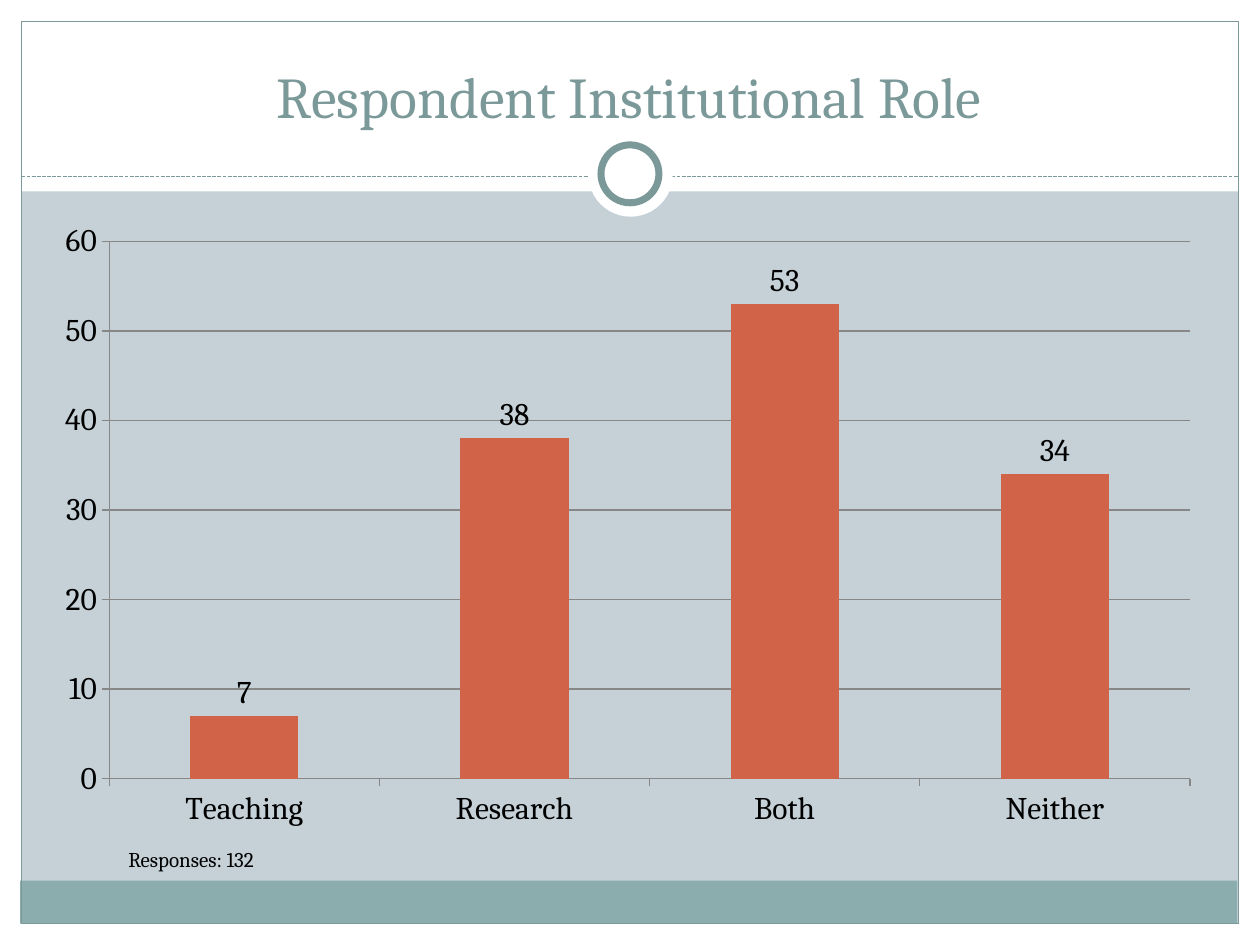
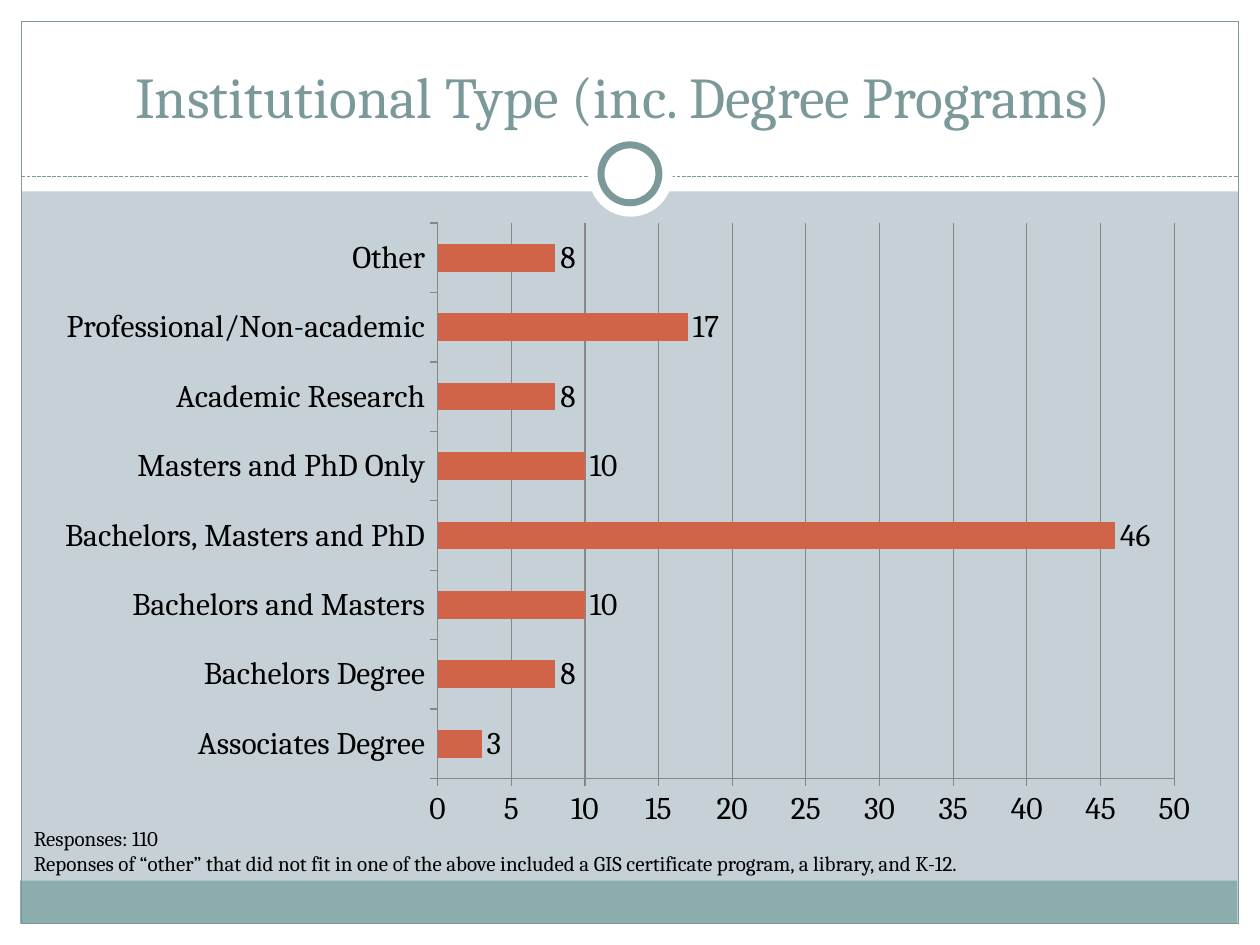
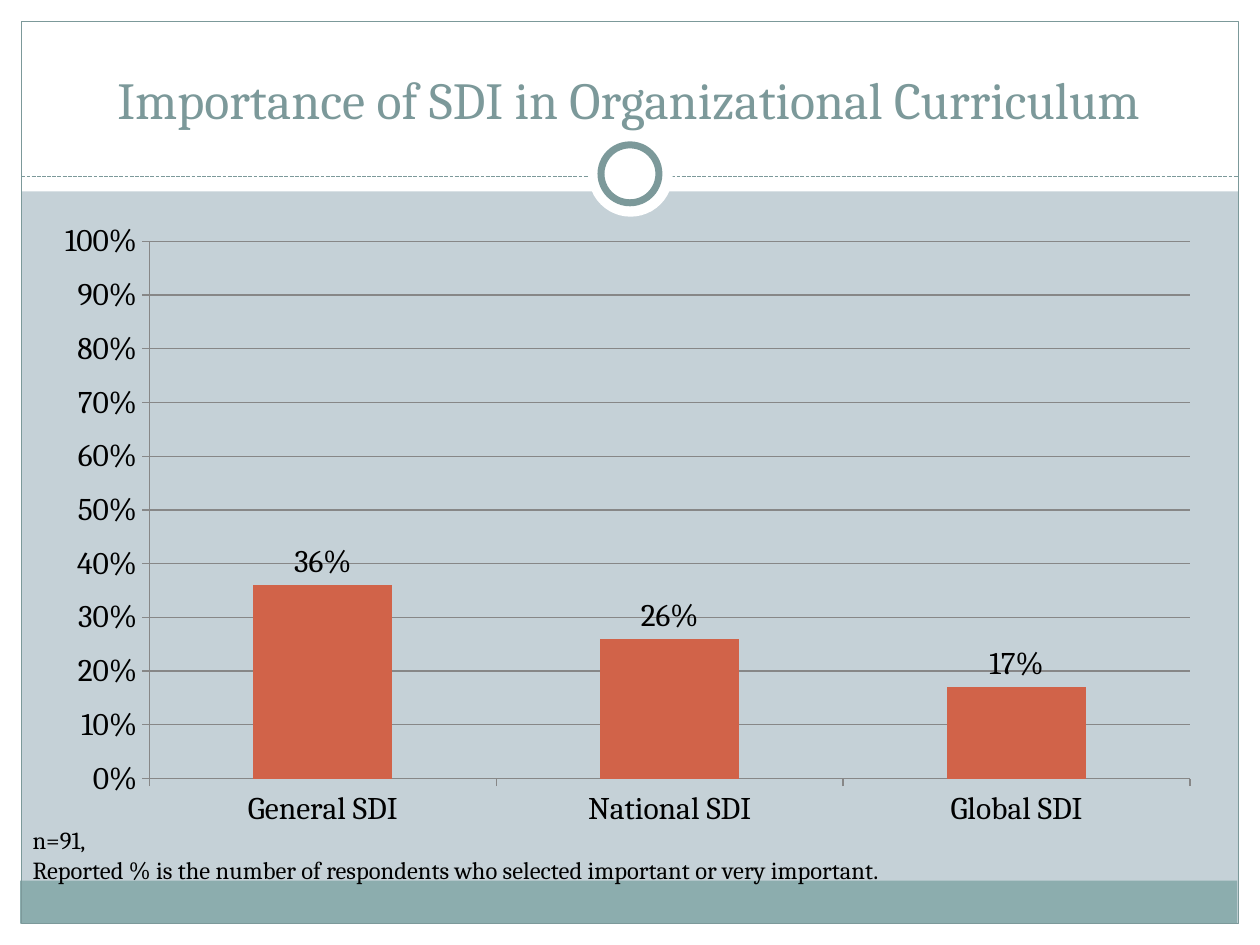
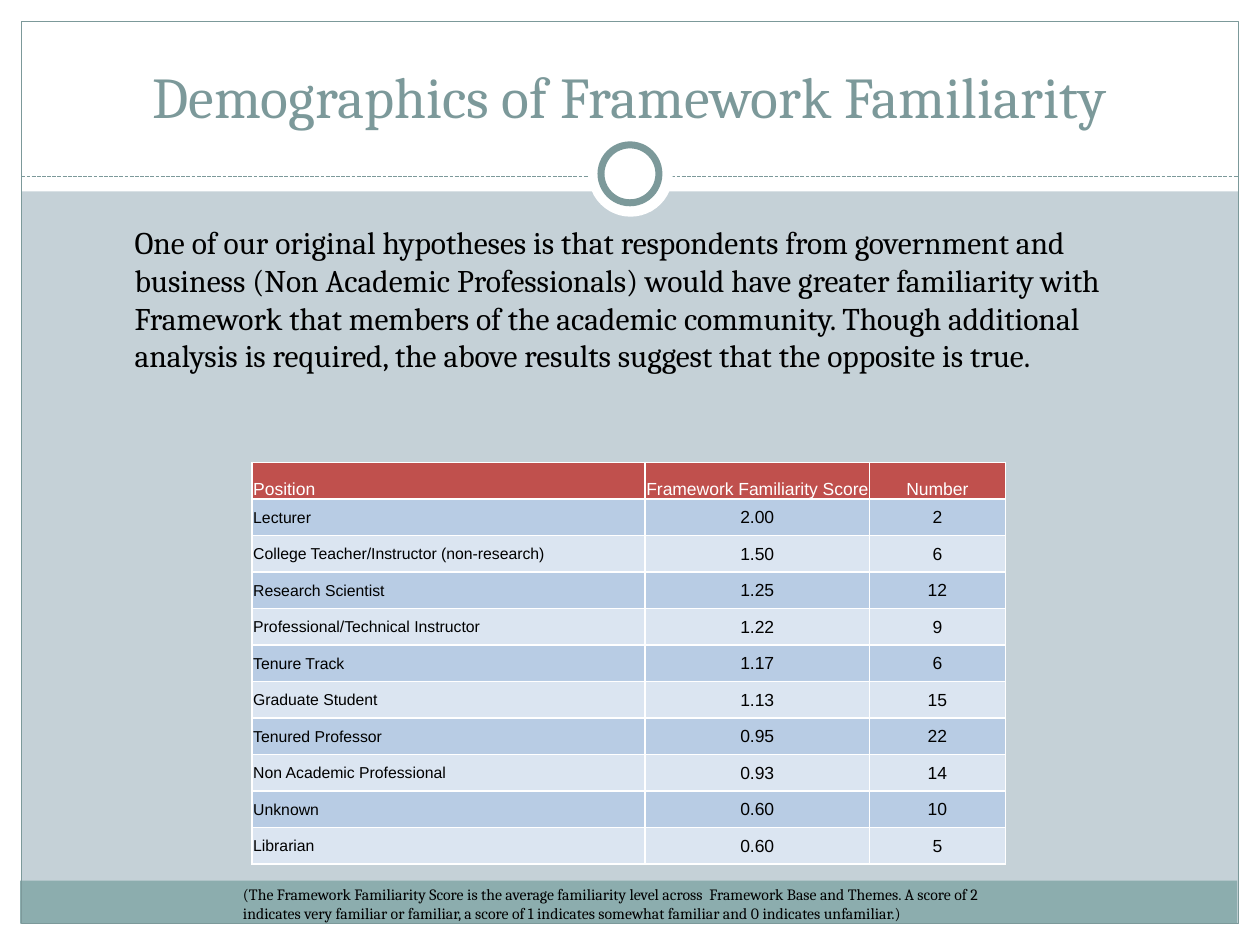
from pptx import Presentation
from pptx.chart.data import CategoryChartData
from pptx.dml.color import RGBColor
from pptx.enum.chart import XL_CHART_TYPE, XL_LABEL_POSITION, XL_TICK_MARK
from pptx.enum.dml import MSO_LINE
from pptx.enum.shapes import MSO_CONNECTOR, MSO_SHAPE
from pptx.enum.text import MSO_ANCHOR, MSO_AUTO_SIZE, PP_ALIGN
from pptx.oxml.ns import qn
from pptx.util import Inches, Pt
from lxml import etree

WHITE = RGBColor(0xFF, 0xFF, 0xFF)
BLACK = RGBColor(0x00, 0x00, 0x00)
BACKGROUND = RGBColor(0xC5, 0xD1, 0xD7)
BAND = RGBColor(0x8C, 0xAD, 0xAE)
ACCENT = RGBColor(0x7C, 0x99, 0x9A)
BAR = RGBColor(0xD1, 0x63, 0x49)
GRID = RGBColor(0x87, 0x87, 0x87)
TABLE_HEADER = RGBColor(0xC0, 0x50, 0x4D)
TABLE_DARK = RGBColor(0xB8, 0xCC, 0xE4)
TABLE_LIGHT = RGBColor(0xDB, 0xE5, 0xF1)
SERIF = "Cambria"
SANS = "Arial"

FAMILIARITY = [
    ("Position", "Framework Familiarity Score", "Number"),
    ("Lecturer", "2.00", "2"),
    ("College Teacher/Instructor (non-research)", "1.50", "6"),
    ("Research Scientist", "1.25", "12"),
    ("Professional/Technical Instructor", "1.22", "9"),
    ("Tenure Track", "1.17", "6"),
    ("Graduate Student", "1.13", "15"),
    ("Tenured Professor", "0.95", "22"),
    ("Non Academic Professional", "0.93", "14"),
    ("Unknown", "0.60", "10"),
    ("Librarian", "0.60", "5"),
]


def write_text(frame, text, size=12, font=SERIF, color=BLACK, align=PP_ALIGN.LEFT):
    for index, line in enumerate(text.split("\n")):
        paragraph = frame.add_paragraph() if index else frame.paragraphs[0]
        paragraph.alignment = align
        run = paragraph.add_run()
        run.text = line
        run.font.size = Pt(size)
        run.font.name = font
        run.font.color.rgb = color


def box(left, top, width, height):
    return Inches(left), Inches(top), Inches(width), Inches(height)


class Deck:
    def __init__(self):
        self.presentation = Presentation()
        self.presentation.slide_width = Inches(10)
        self.presentation.slide_height = Inches(7.5)
        self.layout = self.presentation.slide_layouts[5]
        self.layout.background.fill.solid()
        self.layout.background.fill.fore_color.rgb = BACKGROUND
        self.slide = None

    def start_slide(self, title, size=33):
        first = self.slide is None
        self.slide = self.presentation.slides.add_slide(self.layout)
        if first:
            self.share_frame()
        shape = self.slide.shapes.title
        shape.left, shape.top, shape.width, shape.height = box(0.33, 0.25, 9.33, 0.83)
        frame = shape.text_frame
        frame.word_wrap = True
        frame.auto_size = MSO_AUTO_SIZE.NONE
        frame.vertical_anchor = MSO_ANCHOR.BOTTOM
        write_text(frame, title, size=size, color=ACCENT, align=PP_ALIGN.CENTER)

    def share_frame(self):
        rectangle, ellipse = MSO_SHAPE.RECTANGLE, MSO_SHAPE.OVAL
        parts = [
            self.shape(rectangle, 0, 7.33, 10, 0.17, fill=WHITE),
            self.shape(rectangle, 0, 0, 10, 1.52, fill=WHITE),
            self.shape(rectangle, 0, 0, 0.17, 7.5, fill=WHITE),
            self.shape(rectangle, 9.83, 0, 0.17, 7.5, fill=WHITE),
            self.shape(rectangle, 0.16, 6.99, 9.66, 0.34, fill=BAND),
            self.shape(rectangle, 0.17, 0.17, 9.66, 7.16, line_width=0.75),
            self.dashed_line(0.17, 9.83, 1.4),
            self.shape(ellipse, 4.67, 1.05, 0.67, 0.67, fill=WHITE),
            self.shape(ellipse, 4.77, 1.15, 0.46, 0.46, fill=WHITE, line_width=4),
        ]
        tree = self.layout.shapes.element
        for index, part in enumerate(parts):
            part.element.xpath(".//p:cNvPr")[0].set("id", str(100 + index))
            tree.insert(2 + index, part.element)

    def shape(self, kind, left, top, width, height, fill=None, line_width=None):
        shape = self.slide.shapes.add_shape(kind, *box(left, top, width, height))
        shape.shadow.inherit = False
        if fill is None:
            shape.fill.background()
        else:
            shape.fill.solid()
            shape.fill.fore_color.rgb = fill
        if line_width is None:
            shape.line.fill.background()
        else:
            shape.line.color.rgb = ACCENT
            shape.line.width = Pt(line_width)
        return shape

    def dashed_line(self, start, end, top):
        line = self.slide.shapes.add_connector(
            MSO_CONNECTOR.STRAIGHT, Inches(start), Inches(top), Inches(end), Inches(top)
        )
        line.line.color.rgb = ACCENT
        line.line.width = Pt(0.75)
        line.line.dash_style = MSO_LINE.SQUARE_DOT
        etree.SubElement(line.element.spPr, qn("a:effectLst"))
        return line

    def text(self, text, left, top, width, height, size=12, wrap=True):
        shape = self.slide.shapes.add_textbox(*box(left, top, width, height))
        shape.text_frame.word_wrap = wrap
        shape.text_frame.auto_size = MSO_AUTO_SIZE.SHAPE_TO_FIT_TEXT
        write_text(shape.text_frame, text, size=size)

    def chart(self, kind, values, maximum, step, number_format="General"):
        data = CategoryChartData(number_format=number_format)
        data.categories = list(values)
        data.add_series("Series 1", list(values.values()))
        chart = self.slide.shapes.add_chart(kind, *box(0.33, 1.67, 9.3, 5), data).chart
        chart.has_legend = False
        chart.has_title = False
        chart.font.size = Pt(18)
        chart.font.name = SERIF
        chart.font.color.rgb = BLACK
        value_axis = chart.value_axis
        value_axis.minimum_scale = 0
        value_axis.maximum_scale = maximum
        value_axis.major_unit = step
        value_axis.has_major_gridlines = True
        value_axis.tick_labels.number_format = number_format
        value_axis.tick_labels.number_format_is_linked = False
        for axis in (chart.category_axis, value_axis):
            axis.major_tick_mark = XL_TICK_MARK.OUTSIDE
            axis.minor_tick_mark = XL_TICK_MARK.NONE
        for owner in (chart.category_axis, value_axis, value_axis.major_gridlines):
            owner.format.line.color.rgb = GRID
            owner.format.line.width = Pt(0.75)
        plot = chart.plots[0]
        plot.gap_width = 150
        plot.vary_by_categories = False
        plot.series[0].format.fill.solid()
        plot.series[0].format.fill.fore_color.rgb = BAR
        labels = plot.series[0].data_labels
        labels.show_value = True
        labels.number_format = number_format
        labels.number_format_is_linked = False
        labels.position = XL_LABEL_POSITION.OUTSIDE_END

    def table(self, rows, left, top, column_widths, row_height):
        size = box(left, top, sum(column_widths), row_height * len(rows))
        table = self.slide.shapes.add_table(len(rows), len(column_widths), *size).table
        for column, width in zip(table.columns, column_widths):
            column.width = Inches(width)
        for row_index, values in enumerate(rows):
            table.rows[row_index].height = Inches(row_height)
            header = row_index == 0
            fill = TABLE_HEADER if header else (TABLE_LIGHT, TABLE_DARK)[row_index % 2]
            for column_index, value in enumerate(values):
                cell = table.cell(row_index, column_index)
                cell.fill.solid()
                cell.fill.fore_color.rgb = fill
                cell.margin_left = cell.margin_right = cell.margin_top = Inches(0.01)
                cell.margin_bottom = 0
                cell.vertical_anchor = MSO_ANCHOR.BOTTOM if header else MSO_ANCHOR.MIDDLE
                write_text(
                    cell.text_frame,
                    value,
                    size=10 if header or column_index else 9,
                    font=SANS,
                    color=WHITE if header else BLACK,
                    align=PP_ALIGN.CENTER if column_index else PP_ALIGN.LEFT,
                )


def main():
    deck = Deck()

    deck.start_slide("Respondent Institutional Role")
    roles = {"Teaching": 7, "Research": 38, "Both": 53, "Neither": 34}
    deck.chart(XL_CHART_TYPE.COLUMN_CLUSTERED, roles, maximum=60, step=10)
    deck.text("Responses: 132", 0.92, 6.67, 8.67, 0.3)

    deck.start_slide("Institutional Type (inc. Degree Programs) ")
    institutions = {
        "Associates Degree": 3,
        "Bachelors Degree": 8,
        "Bachelors and Masters": 10,
        "Bachelors, Masters and PhD": 46,
        "Masters and PhD Only": 10,
        "Academic Research": 8,
        "Professional/Non-academic": 17,
        "Other": 8,
    }
    deck.chart(XL_CHART_TYPE.BAR_CLUSTERED, institutions, maximum=50, step=5)
    deck.text(
        "Responses: 110\n"
        "Reponses of “other” that did not fit in one of the above included "
        "a GIS certificate program, a library, and K-12.",
        0.17, 6.5, 8.67, 0.5,
    )

    deck.start_slide("Importance of SDI in Organizational Curriculum", size=29.7)
    importance = {"General SDI": 0.36, "National SDI": 0.26, "Global SDI": 0.17}
    deck.chart(XL_CHART_TYPE.COLUMN_CLUSTERED, importance, 1, 0.1, number_format="0%")
    deck.text(
        "n=91,\n"
        "Reported % is the number of respondents who selected important or very important.",
        0.16, 6.5, 7.51, 0.57, size=14, wrap=False,
    )

    deck.start_slide("Demographics of Framework Familiarity")
    deck.table(FAMILIARITY, 2, 3.67, (3.12, 1.78, 1.08), 0.29)
    deck.text(
        "One of our original hypotheses is that respondents from government and business "
        "(Non Academic Professionals) would have greater familiarity with Framework that "
        "members of the academic community. Though additional analysis is required, the "
        "above results suggest that the opposite is true.",
        0.97, 1.72, 8.07, 1.62, size=18,
    )
    deck.text(
        "(The Framework Familiarity Score is the average familiarity level across  "
        "Framework Base and Themes. A score of 2 indicates very familiar or familiar, "
        "a score of 1 indicates somewhat familiar and 0 indicates unfamiliar.)",
        1.83, 6.97, 6.42, 0.4, size=9,
    )

    deck.presentation.save("out.pptx")


if __name__ == "__main__":
    main()
